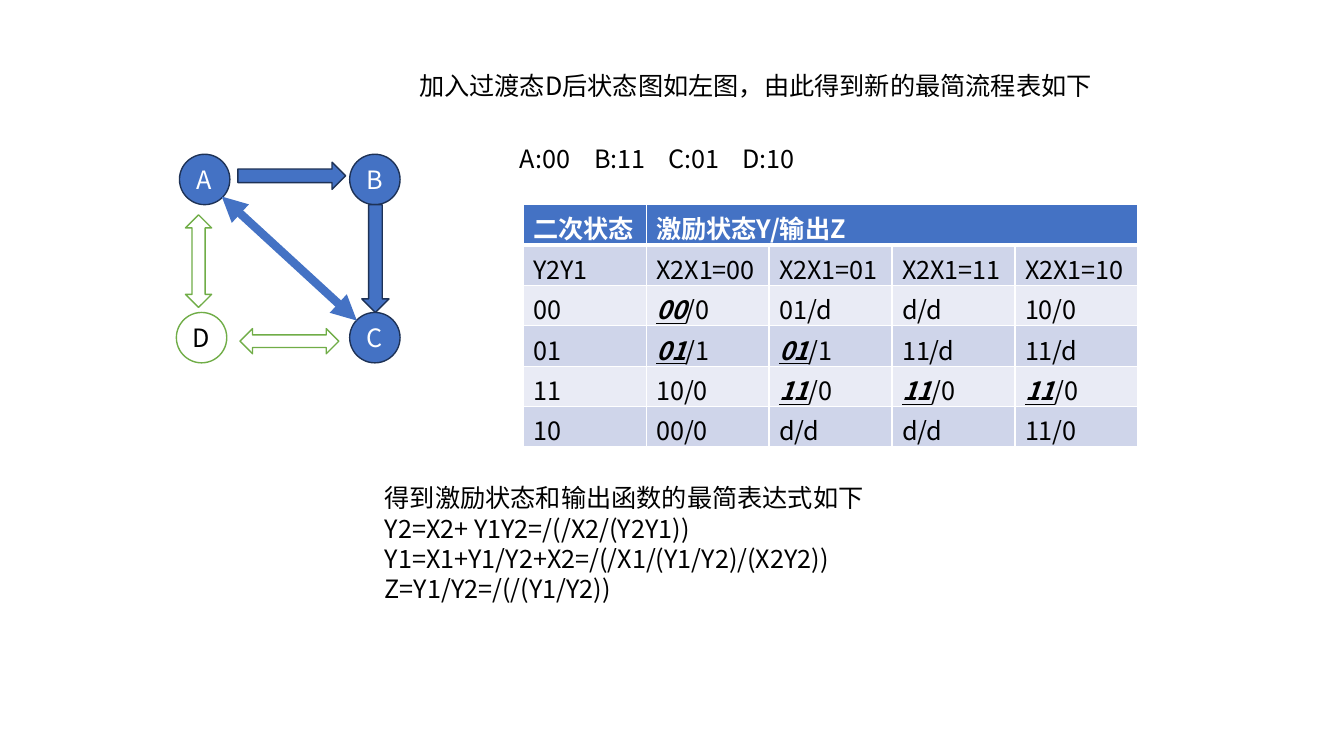
from pptx import Presentation
from pptx.dml.color import RGBColor
from pptx.enum.shapes import MSO_CONNECTOR, MSO_SHAPE
from pptx.enum.text import MSO_ANCHOR
from pptx.enum.text import PP_ALIGN
from pptx.oxml.ns import qn
from pptx.util import Pt
from lxml.etree import SubElement

FONT = "Noto Sans CJK SC"
COLORS = {
    "blue": "4472C4", "navy": "1E3256", "green": "70AD47", "white": "FFFFFF",
    "black": "000000", "band_dark": "CFD5EA", "band_light": "E9EBF5",
}
INTRO = "加入过渡态D后状态图如左图，由此得到新的最简流程表如下"
CODES = ["A:00", "B:11", "C:01", "D:10"]
CODE_STEP = 53
RESULTS = [
    "得到激励状态和输出函数的最简表达式如下",
    "Y2=X2+ Y1Y2=/(/X2/(Y2Y1))",
    "Y1=X1+Y1/Y2+X2=/(/X1/(Y1/Y2)/(X2Y2))",
    "Z=Y1/Y2=/(/(Y1/Y2))",
]
FLOW_HEADER = ["二次状态", "激励状态Y/输出Z"]
FLOW_ROWS = [
    ["Y2Y1", "X2X1=00", "X2X1=01", "X2X1=11", "X2X1=10"],
    ["00", "00/0", "01/d", "d/d", "10/0"],
    ["01", "01/1", "01/1", "11/d", "11/d"],
    ["11", "10/0", "11/0", "11/0", "11/0"],
    ["10", "00/0", "d/d", "d/d", "11/0"],
]
# Fill, line and text colours of the first and the added states
FIRST = ("blue", "navy", "white")
ADDED = ("white", "green", "black")
STATE_SIZE = 36
STATES = [
    ("A", 128.2, 110.2, FIRST), ("B", 249.8, 110.2, FIRST),
    ("C", 249.8, 223.2, FIRST), ("D", 126, 223.2, ADDED),
]
ARROWS = [
    (MSO_SHAPE.DOWN_ARROW, (258.5, 146.2, 19.4, 77), FIRST),
    (MSO_SHAPE.RIGHT_ARROW, (169.9, 115.9, 77, 19.4), FIRST),
    (MSO_SHAPE.UP_DOWN_ARROW, (132.5, 153.4, 18.7, 66.2), ADDED),
    (MSO_SHAPE.LEFT_RIGHT_ARROW, (171.4, 234.7, 70.6, 18), ADDED),
]
DIAGONAL = (158.4, 140.4, 254.9, 229)
TABLE_LEFT, TABLE_TOP = 373.7, 146.2
COLUMN_WIDTH, HEADER_HEIGHT, ROW_HEIGHT = 87.84, 28.1, 28.8


def color(name):
    return RGBColor.from_string(COLORS[name])


def add_text(para, text, tone="black", bold=False, italic=False, underline=False):
    span = para.add_run()
    span.text = text
    font = span.font
    font.name, font.size, font.color.rgb = FONT, Pt(18), color(tone)
    font.bold, font.italic, font.underline = bold, italic, underline
    SubElement(font._element, qn("a:ea")).set("typeface", FONT)


def add_lines(page, lines, left, top, width, height, tab_step=None):
    box = page.shapes.add_textbox(Pt(left), Pt(top), Pt(width), Pt(height))
    frame = box.text_frame
    frame.word_wrap = True
    for index, line in enumerate(lines):
        para = frame.add_paragraph() if index else frame.paragraphs[0]
        if tab_step:
            stops = SubElement(para._p.get_or_add_pPr(), qn("a:tabLst"))
            for number in range(1, len(line.split("\t"))):
                stop = SubElement(stops, qn("a:tab"))
                stop.set("pos", str(Pt(tab_step * number)))
                stop.set("algn", "l")
        add_text(para, line)


def add_figure(page, kind, place, style):
    shape = page.shapes.add_shape(kind, *map(Pt, place))
    shape.shadow.inherit = False
    shape.fill.solid()
    shape.fill.fore_color.rgb = color(style[0])
    shape.line.color.rgb = color(style[1])
    shape.line.width = Pt(1)
    return shape


def add_state(page, name, left, top, style):
    place = (left, top, STATE_SIZE, STATE_SIZE)
    frame = add_figure(page, MSO_SHAPE.FLOWCHART_CONNECTOR, place, style).text_frame
    frame.margin_left = frame.margin_right = frame.margin_top = frame.margin_bottom = 0
    frame.vertical_anchor = MSO_ANCHOR.MIDDLE
    frame.paragraphs[0].alignment = PP_ALIGN.CENTER
    add_text(frame.paragraphs[0], name, tone=style[2])


def add_diagonal(page):
    line = page.shapes.add_connector(MSO_CONNECTOR.STRAIGHT, *map(Pt, DIAGONAL))
    line.line.color.rgb = color("blue")
    line.line.width = Pt(6)
    for end in ("a:headEnd", "a:tailEnd"):
        SubElement(line.line._get_or_add_ln(), qn(end)).set("type", "triangle")
    SubElement(line._element.spPr, qn("a:effectLst"))


def format_cell(cell, fill, top_width=1, bottom_width=1):
    properties = cell._tc.get_or_add_tcPr()
    widths = {"a:lnL": 1, "a:lnR": 1, "a:lnT": top_width, "a:lnB": bottom_width}
    for side, width in widths.items():
        border = SubElement(properties, qn(side))
        border.set("w", str(Pt(width)))
        paint = SubElement(border, qn("a:solidFill"))
        SubElement(paint, qn("a:srgbClr")).set("val", COLORS["white"])
    cell.fill.solid()
    cell.fill.fore_color.rgb = color(fill)
    cell.vertical_anchor = MSO_ANCHOR.MIDDLE


def add_flow_table(page):
    """Add the flow table; a next state equal to its row's state is stable and stands out."""
    rows, columns = len(FLOW_ROWS) + 1, len(FLOW_ROWS[0])
    height = HEADER_HEIGHT + ROW_HEIGHT * len(FLOW_ROWS)
    table = page.shapes.add_table(rows, columns, Pt(TABLE_LEFT), Pt(TABLE_TOP),
                                  Pt(COLUMN_WIDTH * columns), Pt(height)).table
    for column in table.columns:
        column.width = Pt(COLUMN_WIDTH)
    for index, row in enumerate(table.rows):
        row.height = Pt(ROW_HEIGHT if index else HEADER_HEIGHT)

    for cell in table.rows[0].cells:
        format_cell(cell, "blue", bottom_width=3)
    table.cell(0, 1).merge(table.cell(0, columns - 1))
    for index, title in enumerate(FLOW_HEADER):
        para = table.cell(0, index).text_frame.paragraphs[0]
        add_text(para, title, tone="white", bold=True)

    for row, entries in enumerate(FLOW_ROWS, start=1):
        band = "band_dark" if row % 2 else "band_light"
        for column, entry in enumerate(entries):
            cell = table.cell(row, column)
            format_cell(cell, band, top_width=3 if row == 1 else 1)
            para = cell.text_frame.paragraphs[0]
            state, slash, output = entry.partition("/")
            if slash and state == entries[0]:
                add_text(para, state, bold=True, italic=True, underline=True)
                add_text(para, slash + output)
            else:
                add_text(para, entry)


def main():
    deck = Presentation()
    deck.slide_width, deck.slide_height = Pt(960), Pt(540)
    page = deck.slides.add_slide(deck.slide_layouts[6])
    for state in STATES:
        add_state(page, *state)
    add_diagonal(page)
    for arrow in ARROWS:
        add_figure(page, *arrow)
    add_lines(page, [INTRO], 292.3, 46.8, 512, 28.8)
    add_flow_table(page)
    add_lines(page, ["\t".join(CODES)], 364.3, 98.6, 212, 28.8, tab_step=CODE_STEP)
    add_lines(page, RESULTS, 267.8, 341.3, 365, 94.3)
    deck.save("out.pptx")


if __name__ == "__main__":
    main()
